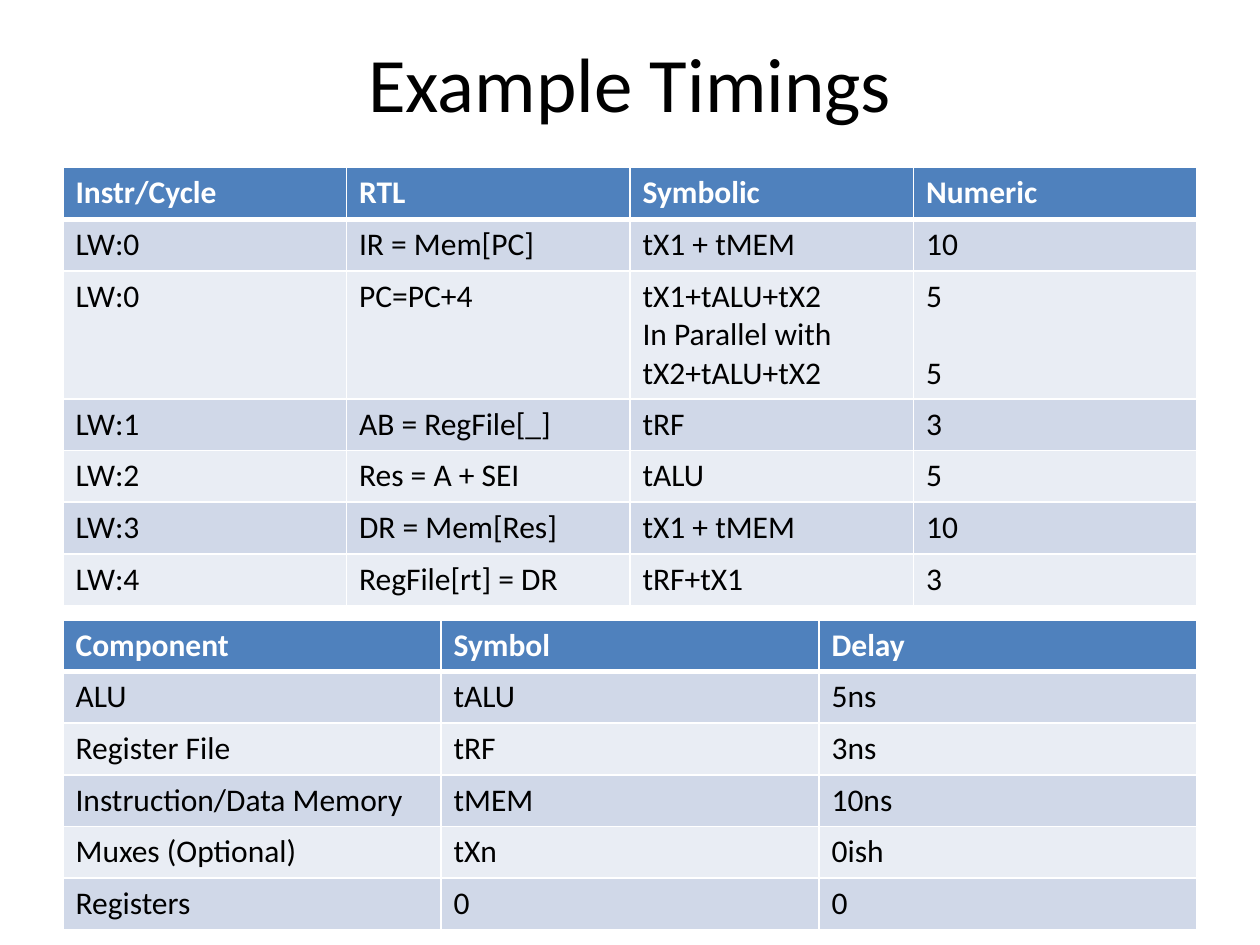
from lxml import etree
from pptx import Presentation
from pptx import util as u
from pptx.dml.color import RGBColor
from pptx.enum import text
from pptx.oxml import ns

COLORS = {"header": "4F81BD", "odd": "D0D8E8", "even": "E9EDF4",
          "white": "FFFFFF", "black": "000000"}
FONT = "Calibri"
MARGIN, WIDTH = 0.05, 0.9          # shares of the slide width
ROW = 0.41                         # inches
BLANK_LINE = 22                    # points, one line of 18 pt text


def rgb(name):
    return RGBColor.from_string(COLORS[name])


class Deck:
    def __init__(self, width, height):
        self.prs = Presentation()
        self.prs.slide_width, self.prs.slide_height = u.Inches(width), u.Inches(height)
        self.slide = self.prs.slides.add_slide(self.prs.slide_layouts[5])

    def box(self, x, y, w, h):
        """Turn shares of the slide into lengths."""
        sw, sh = self.prs.slide_width, self.prs.slide_height
        return int(x * sw), int(y * sh), int(w * sw), int(h * sh)

    def run(self, p, words, size, color, bold=False):
        r = p.add_run()
        r.text = words
        r.font.name, r.font.size, r.font.bold = FONT, u.Pt(size), bold
        r.font.color.rgb = rgb(color)

    def title(self, words, y, h):
        sp = self.slide.shapes.title
        sp.left, sp.top, sp.width, sp.height = self.box(MARGIN, y, WIDTH, h)
        tf = sp.text_frame
        tf.vertical_anchor = text.MSO_ANCHOR.MIDDLE
        p = tf.paragraphs[0]
        p.alignment = text.PP_ALIGN.CENTER
        self.run(p, words, 44, "black")

    def borders(self, cell, top, bottom):
        tcPr = cell._tc.get_or_add_tcPr()
        for side, width in (("L", 1), ("R", 1), ("T", top), ("B", bottom)):
            ln = etree.SubElement(tcPr, ns.qn("a:ln" + side), w=str(u.Pt(width)))
            fill = etree.SubElement(ln, ns.qn("a:solidFill"))
            etree.SubElement(fill, ns.qn("a:srgbClr"), val=COLORS["white"])

    def cell(self, cell, lines, row):
        header = row == 0
        self.borders(cell, 3 if row == 1 else 1, 3 if header else 1)
        cell.fill.solid()
        cell.fill.fore_color.rgb = rgb("header" if header else "odd" if row % 2 else "even")
        # An empty line becomes space before the next paragraph
        tf, gap, used = cell.text_frame, 0, False
        for line in lines.split("\n"):
            if not line:
                gap += BLANK_LINE
                continue
            p = tf.add_paragraph() if used else tf.paragraphs[0]
            if gap:
                p.space_before = u.Pt(gap)
            self.run(p, line, 18, "white" if header else "black", header)
            gap, used = 0, True

    def table(self, rows, y):
        left, top, width, _ = self.box(MARGIN, y, WIDTH, 0)
        height = u.Inches(ROW * len(rows))
        table = self.slide.shapes.add_table(len(rows), len(rows[0]), left, top, width, height).table
        for i, values in enumerate(rows):
            table.rows[i].height = u.Inches(ROW)
            for j, value in enumerate(values):
                self.cell(table.cell(i, j), value, i)


# Content
TIMINGS = [
    ("Instr/Cycle", "RTL", "Symbolic", "Numeric"),
    ("LW:0", "IR = Mem[PC]", "tX1 + tMEM", "10"),
    ("LW:0", "PC=PC+4", "tX1+tALU+tX2\nIn Parallel with\ntX2+tALU+tX2", "5\n\n5"),
    ("LW:1", "AB = RegFile[_]", "tRF", "3"),
    ("LW:2", "Res = A + SEI", "tALU", "5"),
    ("LW:3", "DR = Mem[Res]", "tX1 + tMEM", "10"),
    ("LW:4", "RegFile[rt] = DR", "tRF+tX1", "3"),
]
DELAYS = [
    ("Component", "Symbol", "Delay"),
    ("ALU", "tALU", "5ns"),
    ("Register File", "tRF", "3ns"),
    ("Instruction/Data Memory", "tMEM", "10ns"),
    ("Muxes (Optional)", "tXn", "0ish"),
    ("Registers", "0", "0"),
]

# Slide
deck = Deck(10, 7.5)
deck.title("Example Timings", 0.02 / 7.5, 1.25 / 7.5)
deck.table(TIMINGS, 1.33 / 7.5)
deck.table(DELAYS, 4.92 / 7.5)
deck.prs.save("out.pptx")
